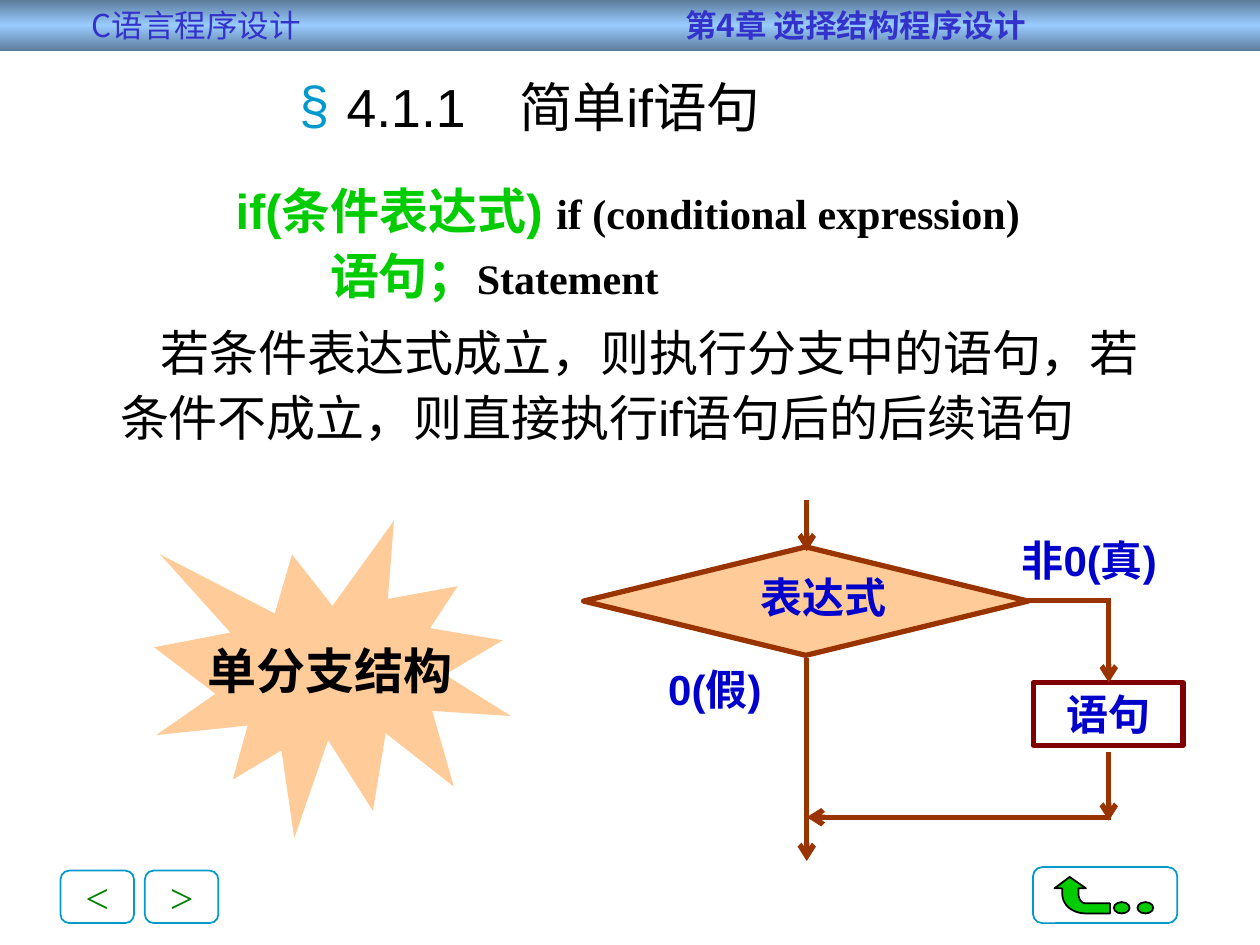
from pptx import Presentation
from pptx import util as u
from pptx.dml.color import RGBColor
from pptx.enum import shapes, text
from pptx.oxml.ns import qn
from lxml import etree
from copy import deepcopy

Pt = u.Pt
SHAPE = shapes.MSO_SHAPE
CENTER = text.PP_ALIGN.CENTER
TOP, MIDDLE = text.MSO_ANCHOR.TOP, text.MSO_ANCHOR.MIDDLE
BLACK = RGBColor(0x00, 0x00, 0x00)
GREEN = RGBColor(0x00, 0xCC, 0x00)
DARK_GREEN = RGBColor(0x00, 0x80, 0x00)
BLUE = RGBColor(0x00, 0x00, 0xCC)
INDIGO = RGBColor(0x33, 0x33, 0xCC)
TEAL = RGBColor(0x00, 0x99, 0xCC)
BROWN = RGBColor(0x99, 0x33, 0x00)
MAROON = RGBColor(0x80, 0x00, 0x00)
PEACH = RGBColor(0xFF, 0xCC, 0x99)
STEEL = RGBColor(0x5D, 0x7C, 0x9B)
SKY = RGBColor(0x99, 0xCC, 0xFF)
ARIAL, TIMES, CJK = "Arial", "Times New Roman", "Noto Sans CJK SC"

# Content; a run is (text, size, font, colour, bold)
TITLE = "4.1.1\u3000简单if语句".replace("\u3000", "　")
HEADER = [("C语言程序设计\t", 18, CJK, INDIGO, False),
          ("第4章 选择结构程序设计", 18, CJK, INDIGO, True)]
# Paragraphs: left margin, first-line indent, space before, runs
SYNTAX = [
    (93, 0, 0, [("if(条件表达式) ", 28, ARIAL, GREEN, True),
                ("if (conditional expression)", 24, TIMES, BLACK, True)]),
    (147, 0, 0, [("语句；", 28, ARIAL, GREEN, True),
                 ("Statement", 24, TIMES, BLACK, True)]),
    (27, 23, 7, [("若条件表达式成立，则执行分支中的语句，若条件不成立，"
                  "则直接执行if语句后的后续语句", 28, ARIAL, BLACK, False)]),
]
MAIN_X, BRANCH_X = 461, 633.6
BRANCH_Y, JOIN_Y = 343, 467
# Flow lines: start, end, arrowhead
FLOW_LINES = [
    ((MAIN_X, 286), (MAIN_X, 315), True),
    ((MAIN_X, 376), (MAIN_X, 492), True),
    ((BRANCH_X + 1.5, BRANCH_Y), (587.5, BRANCH_Y), False),
    ((BRANCH_X, BRANCH_Y), (BRANCH_X, 390), True),
    ((BRANCH_X, 430), (BRANCH_X, 469), True),
    ((BRANCH_X + 1.5, JOIN_Y), (MAIN_X, JOIN_Y), True),
]
# Flow labels: text, left, top, width, height
FLOW_LABELS = [
    ("表达式", 402.5, 323.3, 136, 36),
    ("0(假)", 366.5, 375.8, 84, 36),
    ("非0(真)", 569.5, 301.7, 105.8, 65),
]
BUTTONS = [("<", 34.6), (">", 82.8)]


def fill_and_line(shape, fill=None, line=None, line_width=1):
    shape.shadow.inherit = False
    if fill is None:
        shape.fill.background()
    else:
        shape.fill.solid()
        shape.fill.fore_color.rgb = fill
    if line is None:
        shape.line.fill.background()
    else:
        shape.line.color.rgb = line
        shape.line.width = Pt(line_width)


def add_preset(kind, left, top, width, height, **look):
    shape = slide.shapes.add_shape(kind, Pt(left), Pt(top), Pt(width), Pt(height))
    fill_and_line(shape, **look)
    return shape


def set_runs(paragraph, runs):
    for content, size, font, color, bold in runs:
        run = paragraph.add_run()
        run.text = content
        run.font.size, run.font.name = Pt(size), font
        run.font.bold, run.font.color.rgb = bold, color


def set_label(shape, run, anchor=TOP, wrap=True):
    frame = shape.text_frame
    frame.word_wrap, frame.vertical_anchor = wrap, anchor
    frame.paragraphs[0].alignment = CENTER
    set_runs(frame.paragraphs[0], [run])


def add_text_box(left, top, width, height):
    box = slide.shapes.add_textbox(Pt(left), Pt(top), Pt(width), Pt(height))
    box.text_frame.word_wrap = True
    return box


def add_flow_line(start, end, arrow):
    line = slide.shapes.add_connector(
        shapes.MSO_CONNECTOR.STRAIGHT, *(Pt(v) for v in start + end))
    line.line.color.rgb, line.line.width = BROWN, Pt(3)
    properties = line._element.spPr
    if arrow:
        etree.SubElement(properties.find(qn("a:ln")), qn("a:tailEnd"), type="arrow")
    etree.SubElement(properties, qn("a:effectLst"))


def curve(p0, p1, p2, p3, steps=10):
    """Points along a cubic Bezier curve, without its start."""
    points = []
    for i in range(1, steps + 1):
        t = i / steps
        weights = ((1 - t) ** 3, 3 * t * (1 - t) ** 2, 3 * t * t * (1 - t), t ** 3)
        points.append(tuple(sum(w * p[axis] for w, p in zip(weights, (p0, p1, p2, p3)))
                            for axis in (0, 1)))
    return points


presentation = Presentation()
presentation.slide_width, presentation.slide_height = Pt(720), Pt(540)
slide = presentation.slides.add_slide(presentation.slide_layouts[5])

# Header band
band = add_preset(SHAPE.RECTANGLE, 0, 0, 720, 29)
band.fill.gradient()
band.fill.gradient_angle = 90
stop_list = band._element.spPr.find(".//" + qn("a:gsLst"))
stop_list.append(deepcopy(stop_list[0]))
for stop, position, color in zip(band.fill.gradient_stops, (0, 0.5, 1),
                                 (STEEL, SKY, STEEL)):
    stop.position, stop.color.rgb = position, color
band.text_frame.margin_left = Pt(52.5)
band.text_frame.margin_top = band.text_frame.margin_bottom = 0
band.text_frame.vertical_anchor = MIDDLE
header = band.text_frame.paragraphs[0]
header.alignment = text.PP_ALIGN.LEFT
tabs = etree.SubElement(header._p.get_or_add_pPr(), qn("a:tabLst"))
etree.SubElement(tabs, qn("a:tab"), pos=str(Pt(339)), algn="l")
set_runs(header, HEADER)

# Title
title = slide.shapes.title
title.left, title.top, title.width, title.height = Pt(34.5), Pt(37.5), Pt(536.5), Pt(46.5)
frame = title.text_frame
frame.text = TITLE
frame.auto_size, frame.vertical_anchor = text.MSO_AUTO_SIZE.NONE, MIDDLE
frame.margin_left = frame.margin_right = frame.margin_top = frame.margin_bottom = 0
paragraph = frame.paragraphs[0]
paragraph.alignment = CENTER
properties = paragraph._p.get_or_add_pPr()
properties.set("marL", str(Pt(27)))
properties.set("indent", str(-Pt(27)))
bullet_color = etree.SubElement(properties, qn("a:buClr"))
etree.SubElement(bullet_color, qn("a:srgbClr"), val=str(TEAL))
etree.SubElement(properties, qn("a:buFont"), typeface=ARIAL)
etree.SubElement(properties, qn("a:buChar"), char="§")
font = paragraph.runs[0].font
font.size, font.name, font.color.rgb = Pt(30.6), ARIAL, BLACK

# Syntax and explanation
frame = add_text_box(34.5, 96.5, 641, 162).text_frame
for index, (margin, indent, before, runs) in enumerate(SYNTAX):
    paragraph = frame.add_paragraph() if index else frame.paragraphs[0]
    properties = paragraph._p.get_or_add_pPr()
    properties.set("marL", str(Pt(margin)))
    properties.set("indent", str(Pt(indent)))
    paragraph.line_spacing = 1.1
    if before:
        paragraph.space_before = Pt(before)
    set_runs(paragraph, runs)

# Flow chart
add_preset(SHAPE.FLOWCHART_DECISION, 333.5, 312.5, 254, 62,
           fill=PEACH, line=BROWN, line_width=3)
statement = add_preset(SHAPE.RECTANGLE, 590.5, 390, 85.5, 36, line=MAROON, line_width=3)
set_label(statement, ("语句", 24, ARIAL, BLUE, True), MIDDLE)
for flow_line in FLOW_LINES:
    add_flow_line(*flow_line)
for label, *place in FLOW_LABELS:
    set_label(add_text_box(*place), (label, 24, ARIAL, BLUE, True))

# Starburst
burst = add_preset(SHAPE.EXPLOSION1, 88, 297.5, 204, 181.5, fill=PEACH)
set_label(burst, ("单分支结构", 28, TIMES, BLACK, True), MIDDLE, wrap=False)

# Navigation buttons
for label, left in BUTTONS:
    button = add_preset(SHAPE.ROUNDED_RECTANGLE, left, 497.5, 42, 30, line=TEAL)
    set_label(button, (label, 24, TIMES, DARK_GREEN, False), MIDDLE, wrap=False)
add_preset(SHAPE.ROUNDED_RECTANGLE, 590.3, 495.5, 82.5, 32, line=TEAL)

# Return arrow and its dots
outer = curve((607, 510.5), (607, 517), (612.7, 522), (620.6, 522))
inner = curve((620.6, 516.2), (617.8, 516.2), (616.3, 513.4), (616.3, 510.5))
outline = ([(602.6, 507.6), (607, 507.6), (607, 510.5)] + outer
           + [(634.3, 522), (634.3, 516.2), (620.6, 516.2)] + inner
           + [(616.3, 507.6), (620.6, 507.6)])
builder = slide.shapes.build_freeform(Pt(611.3), Pt(501.1))
builder.add_line_segments([(Pt(x), Pt(y)) for x, y in outline], close=True)
fill_and_line(builder.convert_to_shape(), fill=GREEN, line=BLACK)
for left in (636.5, 650):
    add_preset(SHAPE.OVAL, left, 515.5, 9, 6.5, fill=GREEN, line=BLACK)

presentation.save("out.pptx")
